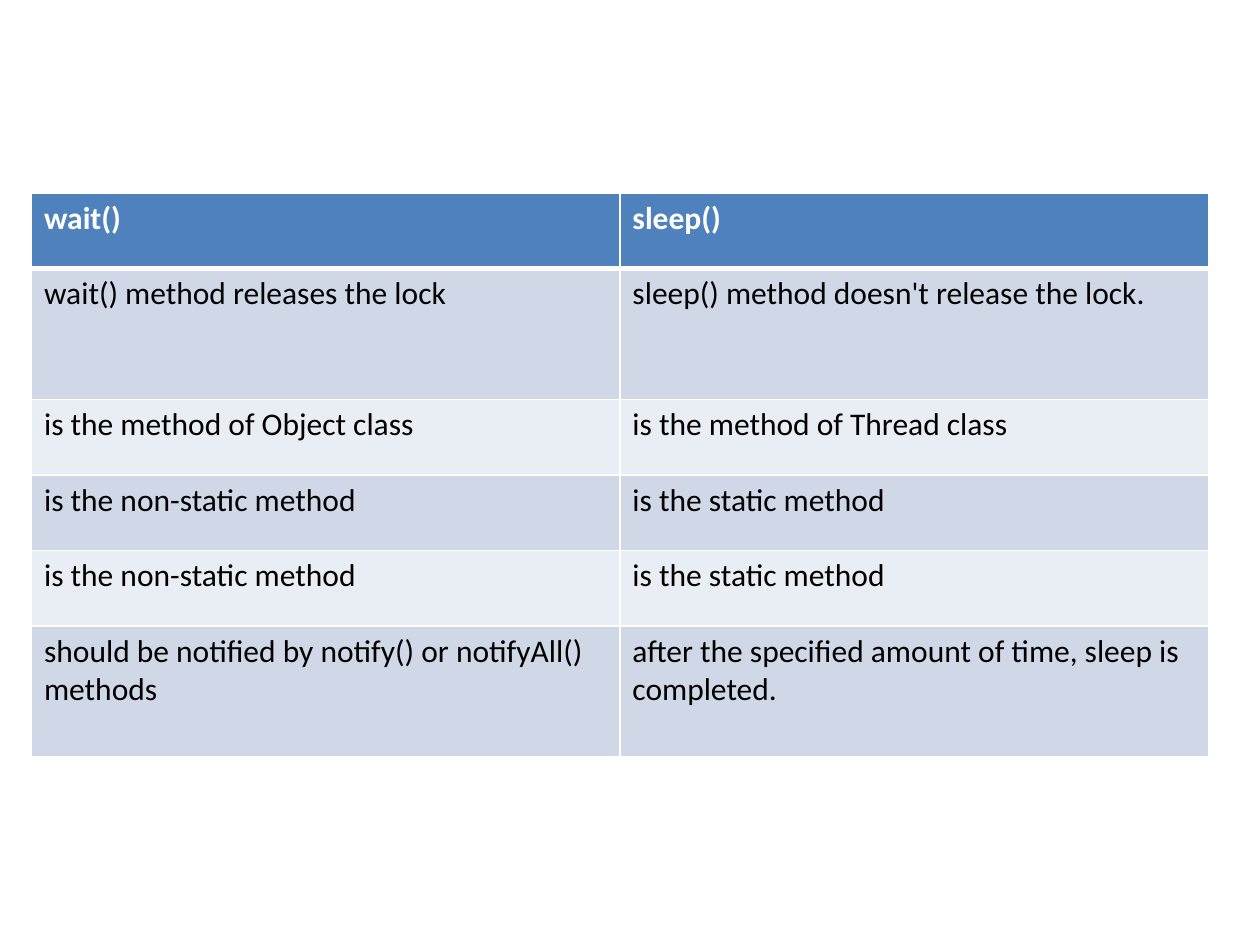
from lxml.etree import SubElement
from pptx import Presentation
from pptx.dml.color import RGBColor
from pptx.oxml.ns import qn
from pptx.util import Inches, Pt

ROWS = [
    ("wait()", "sleep()"),
    ("wait() method releases the lock", "sleep() method doesn't release the lock."),
    ("is the method of Object class", "is the method of Thread class"),
    ("is the non-static method", "is the static method"),
    ("is the non-static method", "is the static method"),
    ("should be notified by notify() or notifyAll() methods",
     "after the specified amount of time, sleep is completed."),
]
SHORT, TALL = 0.6, 1.04
ROW_HEIGHTS = [SHORT, TALL, SHORT, SHORT, SHORT, TALL]
LEFT, TOP, COL_WIDTH = 0.25, 1.53, 4.67

THEME = {
    "font": "Calibri", "size": Pt(18),
    "header_fill": "4F81BD", "header_text": "FFFFFF",
    "bands": ("E9EDF4", "D0D8E8"), "body_text": "000000",
    "border": "FFFFFF", "thin": Pt(1), "thick": Pt(3),
}


def set_borders(cell, row):
    """Draw thin cell borders, with a thick rule under the header."""
    tc_pr = cell._tc.get_or_add_tcPr()
    thick_side = {0: "lnB", 1: "lnT"}.get(row)
    for side in ("lnL", "lnR", "lnT", "lnB"):
        width = THEME["thick" if side == thick_side else "thin"]
        ln = SubElement(tc_pr, qn(f"a:{side}"), w=str(width))
        fill = SubElement(ln, qn("a:solidFill"))
        SubElement(fill, qn("a:srgbClr"), val=THEME["border"])


def fill_cell(cell, text, row):
    """Write and format one cell according to its row."""
    header = row == 0
    set_borders(cell, row)
    cell.fill.solid()
    cell.fill.fore_color.rgb = RGBColor.from_string(
        THEME["header_fill"] if header else THEME["bands"][row % 2])
    r = cell.text_frame.paragraphs[0].add_run()
    r.text = text
    for name, value in {"name": THEME["font"], "size": THEME["size"], "bold": header}.items():
        setattr(r.font, name, value)
    r.font.color.rgb = RGBColor.from_string(THEME["header_text" if header else "body_text"])


def add_comparison(s):
    """Add the wait() and sleep() comparison table."""
    cols = len(ROWS[0])
    table = s.shapes.add_table(
        len(ROWS), cols, Inches(LEFT), Inches(TOP),
        Inches(COL_WIDTH * cols), Inches(sum(ROW_HEIGHTS))).table
    for col in table.columns:
        col.width = Inches(COL_WIDTH)
    for i, (texts, height) in enumerate(zip(ROWS, ROW_HEIGHTS)):
        table.rows[i].height = Inches(height)
        for j, text in enumerate(texts):
            fill_cell(table.cell(i, j), text, i)


prs = Presentation()
prs.slide_width, prs.slide_height = Inches(10), Inches(7.5)
add_comparison(prs.slides.add_slide(prs.slide_layouts[6]))
prs.save("out.pptx")
